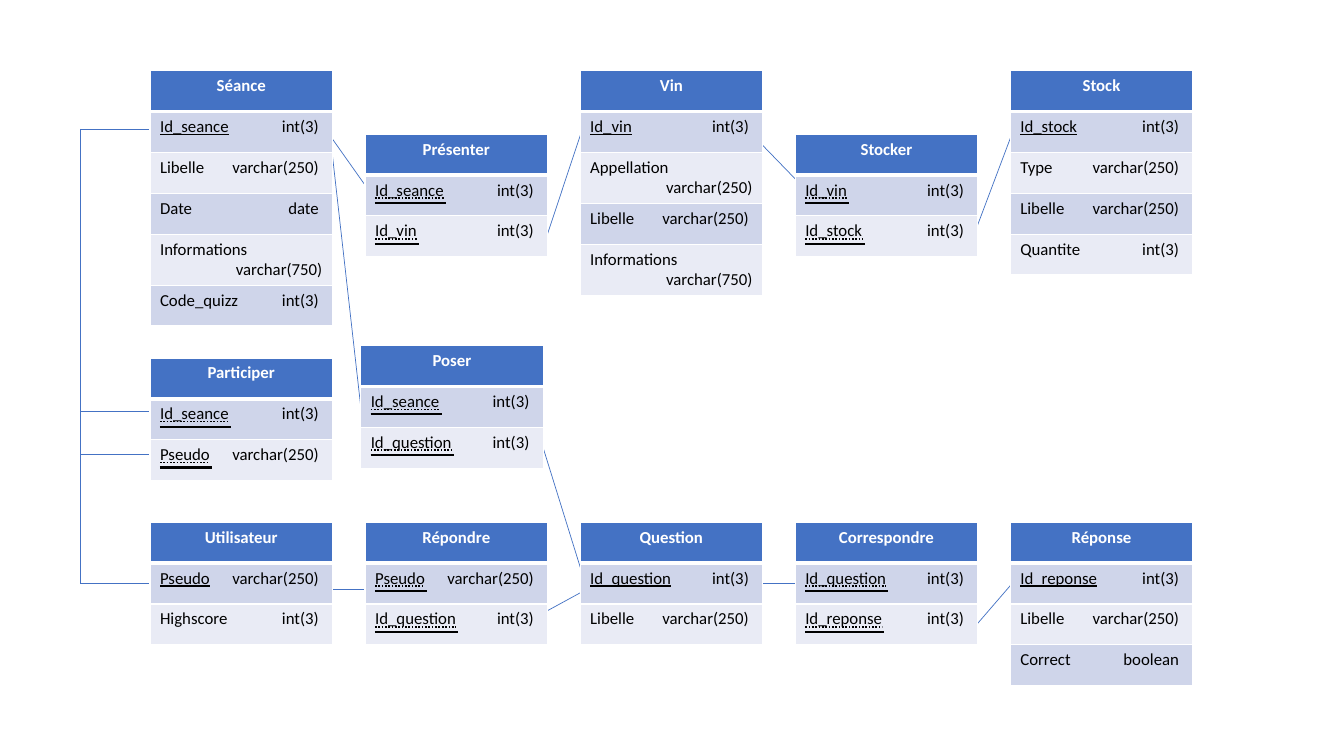
"""Draw the relational schema of a wine tasting quiz database."""
from lxml.etree import SubElement
from pptx import Presentation
from pptx.dml.color import RGBColor
from pptx.enum.shapes import MSO_CONNECTOR
from pptx.enum.text import MSO_UNDERLINE, PP_ALIGN
from pptx.oxml.ns import qn
from pptx.util import Cm, Pt

INK = {"head": "4472C4", "odd": "CFD5EA", "even": "E9EBF5",
       "white": "FFFFFF", "black": "000000"}

NUM, TEXT = "int(3)", "varchar(250)"
LEFT, STEP, WIDE, ROW, TALL = 3.78, 5.42, 4.6, 1.03, 1.28
COLS = [LEFT + STEP * n for n in range(5)]
TOP, MID, LOW = 1.78, 3.38, 13.16
PAD, TAB, DROP = 0.25, 4, 1.73

TABLES = [
    ("Stock", COLS[4], TOP, [("Id_stock", NUM, "pk"), ("Type", TEXT, ""),
                             ("Libelle", TEXT, ""), ("Quantite", NUM, "")]),
    ("Réponse", COLS[4], LOW, [("Id_reponse", NUM, "pk"), ("Libelle", TEXT, ""),
                               ("Correct", "boolean", "")]),
    ("Question", COLS[2], LOW, [("Id_question", NUM, "pk"), ("Libelle", TEXT, "")]),
    ("Utilisateur", COLS[0], LOW, [("Pseudo", TEXT, "pk"), ("Highscore", NUM, "")]),
    ("Séance", COLS[0], TOP, [("Id_seance", NUM, "pk"), ("Libelle", TEXT, ""),
                              ("Date", "date", ""),
                              ("Informations", "varchar(750)", ""),
                              ("Code_quizz", NUM, "")]),
    ("Vin", COLS[2], TOP, [("Id_vin", NUM, "pk"), ("Appellation", TEXT, ""),
                           ("Libelle", TEXT, ""),
                           ("Informations", "varchar(750)", "")]),
    ("Poser", 9.09, 8.71, [("Id_seance", NUM, "fk"), ("Id_question", NUM, "fk")]),
    ("Présenter", COLS[1], MID, [("Id_seance", NUM, "fk"), ("Id_vin", NUM, "fk")]),
    ("Correspondre", COLS[3], LOW, [("Id_question", NUM, "fk"),
                                    ("Id_reponse", NUM, "fk")]),
    ("Stocker", COLS[3], MID, [("Id_vin", NUM, "fk"), ("Id_stock", NUM, "fk")]),
    ("Répondre", COLS[1], LOW, [("Pseudo", TEXT, "fk"), ("Id_question", NUM, "fk")]),
    ("Participer", COLS[0], 9.02, [("Id_seance", NUM, "fk"), ("Pseudo", TEXT, "fk")]),
]

KEYS = {"Id_seance": 1.8, "Id_vin": 1.11, "Id_stock": 1.5,
        "Id_question": 2.1, "Id_reponse": 1.98, "Pseudo": 1.31}
STYLES = {"pk": True, "fk": MSO_UNDERLINE.DOTTED_LINE, "": None}

BUS, TAPS = 2.03, [3.25, 10.36, 11.46, 14.71]
LINKS = [
    (8.28, 3.05, 9.09, 10.24), (8, 14.86, 9.8, 14.86),
    (24.43, 15.95, 25.5, 14.71), (18.82, 14.71, 21.13, 14.71),
    (13.28, 15.67, 15.04, 14.71), (13.64, 11.13, 14.83, 14.96),
    (24.43, 6.22, 25.5, 3.38), (18.82, 3.25, 20.45, 4.93),
    (13.69, 6.22, 14.83, 2.79), (8.2, 3.25, 9.55, 5.16),
]


def hue(name):
    return RGBColor.from_string(INK[name])


def write(para, text, color="black", bold=False, under=None, align=None):
    run = para.add_run()
    run.text = text
    font = run.font
    font.name, font.size, font.bold = "Calibri", Pt(12), bold
    font.underline = under
    font.color.rgb = hue(color)
    if align is not None:
        para.alignment = align


def link(ends, color="head", width=0.5):
    line = slide.shapes.add_connector(MSO_CONNECTOR.STRAIGHT, *map(Cm, ends))
    line.line.color.rgb = hue(color)
    line.line.width = Pt(width)
    SubElement(line._element.spPr, qn("a:effectLst"))


def paint(cell, color, base=1):
    props = cell._tc.get_or_add_tcPr()
    for side, width in zip("LRTB", (1, 1, 1, base)):
        edge = SubElement(props, qn("a:ln" + side), w=str(Pt(width)))
        fill = SubElement(edge, qn("a:solidFill"))
        SubElement(fill, qn("a:srgbClr"), val=INK["white"])
    cell.fill.solid()
    cell.fill.fore_color.rgb = hue(color)


def field(cell, name, kind, key, split):
    frame = cell.text_frame
    para = frame.paragraphs[0]
    write(para, name, under=STYLES[key])
    if split:
        write(frame.add_paragraph(), kind, align=PP_ALIGN.RIGHT)
        return
    tabs = SubElement(para._p.get_or_add_pPr(), qn("a:tabLst"))
    SubElement(tabs, qn("a:tab"), pos=str(Cm(TAB)), algn="r")
    write(para, "\t" + kind)


def entity(title, left, top, rows):
    split = [len(name + kind) > 22 for name, kind, _ in rows]
    highs = [ROW] + [TALL if two else ROW for two in split]
    frame = slide.shapes.add_table(len(highs), 1, Cm(left), Cm(top),
                                   Cm(WIDE), Cm(sum(highs)))
    grid = frame.table
    for row, high in zip(grid.rows, highs):
        row.height = Cm(high)
    head = grid.cell(0, 0)
    paint(head, "head", base=3)
    write(head.text_frame.paragraphs[0], title, color="white", bold=True,
          align=PP_ALIGN.CENTER)
    for n, (row, two) in enumerate(zip(rows, split), 1):
        cell = grid.cell(n, 0)
        paint(cell, "odd" if n % 2 else "even")
        field(cell, *row, two)


deck = Presentation()
deck.slide_width, deck.slide_height = Cm(33.87), Cm(19.05)
slide = deck.slides.add_slide(deck.slide_layouts[6])

for y in TAPS:
    link((LEFT, y, BUS, y))
link((BUS, TAPS[0], BUS, TAPS[-1]))
for ends in LINKS:
    link(ends)
for table in TABLES:
    entity(*table)
for _, left, top, rows in TABLES:
    for n, (name, _, key) in enumerate(rows):
        if key == "fk":
            x, y = left + PAD, top + DROP + ROW * n
            link((x, y, x + KEYS[name], y), color="black", width=1.5)

deck.save("out.pptx")
